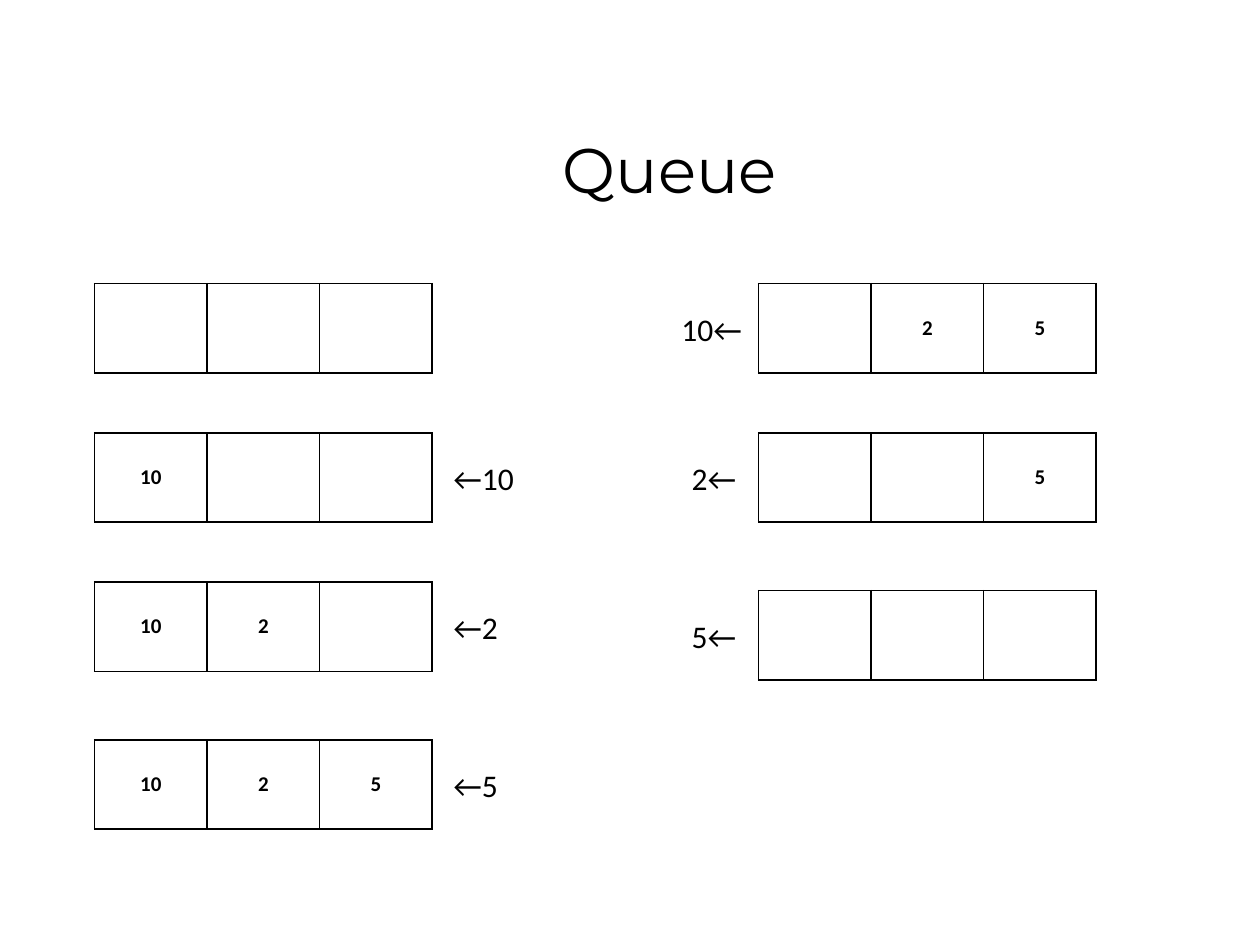
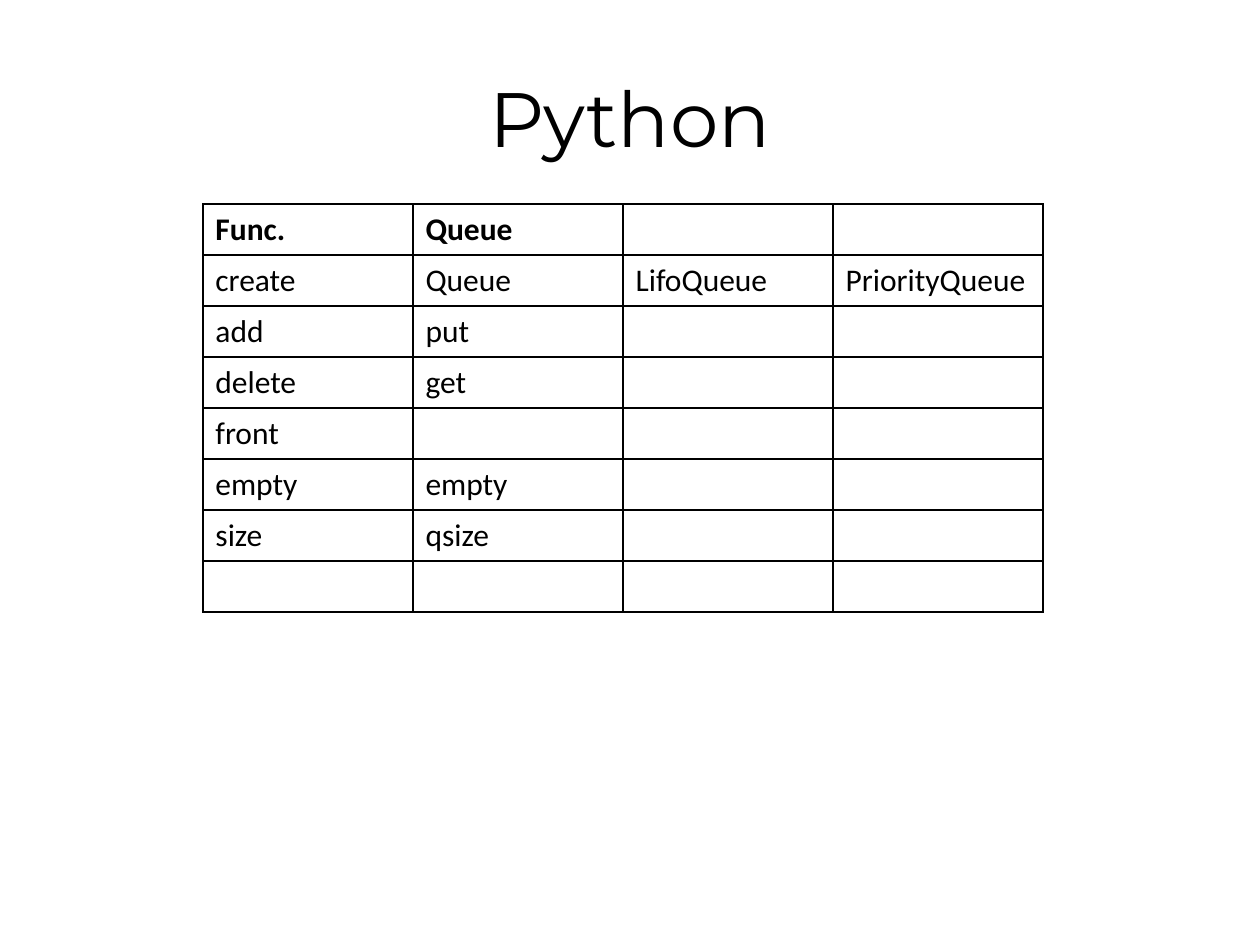
from dataclasses import dataclass
from typing import Optional

from lxml.etree import SubElement
from pptx import Presentation
from pptx.dml.color import RGBColor
from pptx.enum.text import MSO_ANCHOR as Anchor, MSO_AUTO_SIZE as AutoSize, PP_ALIGN as Align
from pptx.oxml.ns import qn
from pptx.util import Inches, Length, Pt

BLACK, WHITE = "000000", "FFFFFF"
BODY_FONT, TITLE_FONT = "Calibri", "Montserrat"
BORDER_WIDTH = Pt(1)

prs = Presentation()
prs.slide_width, prs.slide_height = Inches(10), Inches(7.5)
blank_layout = prs.slide_layouts[6]


@dataclass(frozen=True)
class Box:
    """A rectangle in percent of the slide's width and height."""
    left: float
    top: float
    width: float
    height: float

    def lengths(self) -> tuple[Length, ...]:
        """Return left, top, width and height as lengths."""
        sides = (prs.slide_width, prs.slide_height) * 2
        shares = (self.left, self.top, self.width, self.height)
        return tuple(Length(round(side * share / 100)) for side, share in zip(sides, shares))


@dataclass(frozen=True)
class QueueState:
    """The queue after one step, with the label of that step."""
    left: float
    top: float
    items: tuple[str, str, str]
    label: str = ""
    label_left: float = 0


def rgb(value: str) -> RGBColor:
    """Turn a hex string into a colour."""
    return RGBColor.from_string(value)


def style(paragraph, size: float, font: str = BODY_FONT, bold: bool = False,
          align: Align = Align.LEFT) -> None:
    """Set the font and alignment of a paragraph."""
    paragraph.alignment = align
    paragraph.font.name = font
    paragraph.font.size = Pt(size)
    paragraph.font.bold = bold
    paragraph.font.color.rgb = rgb(BLACK)


def add_title(slide, text: str, box: Box, size: float, anchor: Anchor) -> None:
    """Add a centred title."""
    frame = slide.shapes.add_textbox(*box.lengths()).text_frame
    frame.word_wrap = True
    frame.vertical_anchor = anchor
    frame.text = text
    style(frame.paragraphs[0], size, TITLE_FONT, align=Align.CENTER)


def add_label(slide, text: str, left: float, top: float) -> None:
    """Add a one-line label that fits its text."""
    box = Box(left, top, 7.1 if len(text) > 2 else 5.8, 5.33)
    frame = slide.shapes.add_textbox(*box.lengths()).text_frame
    frame.word_wrap = False
    frame.auto_size = AutoSize.SHAPE_TO_FIT_TEXT
    frame.text = text
    style(frame.paragraphs[0], 18)


def add_borders(cell) -> None:
    """Draw a thin black line on the four sides of a cell."""
    properties = cell._tc.get_or_add_tcPr()
    for side in ("a:lnL", "a:lnR", "a:lnT", "a:lnB"):
        line = SubElement(properties, qn(side), w=str(BORDER_WIDTH))
        fill = SubElement(line, qn("a:solidFill"))
        SubElement(fill, qn("a:srgbClr"), val=BLACK)


def add_grid(slide, rows: list[tuple[str, ...]], box: Box, size: float,
             fill: Optional[str] = None, align: Align = Align.LEFT,
             anchor: Anchor = Anchor.TOP) -> None:
    """Add a bordered table of equal cells whose first row is bold."""
    table = slide.shapes.add_table(len(rows), len(rows[0]), *box.lengths()).table
    table.first_row = table.horz_banding = False
    for r, row in enumerate(rows):
        for c, text in enumerate(row):
            cell = table.cell(r, c)
            cell.text = text
            cell.vertical_anchor = anchor
            style(cell.text_frame.paragraphs[0], size, bold=r == 0, align=align)
            add_borders(cell)
            if fill:
                cell.fill.solid()
                cell.fill.fore_color.rgb = rgb(fill)
            else:
                cell.fill.background()


def add_queue(slide, state: QueueState) -> None:
    """Draw the three places of a queue and its label."""
    add_grid(slide, [state.items], Box(state.left, state.top, 26.8, 9.45), 12,
             align=Align.CENTER, anchor=Anchor.MIDDLE)
    if state.label:
        add_label(slide, state.label, state.label_left, state.top + 2.1)


# Slide 1: items enter on the left side and leave on the right side
ENTER_LEFT, LEAVE_LEFT, ENTER_LABEL = 7.5, 60.2, 35
STEP_TOPS = (30, 45.8, 61.6, 78.3)
LAST_LEAVE_TOP = 62.5
queue_states = (
    QueueState(ENTER_LEFT, STEP_TOPS[0], ("", "", "")),
    QueueState(ENTER_LEFT, STEP_TOPS[1], ("10", "", ""), "←10", ENTER_LABEL),
    QueueState(ENTER_LEFT, STEP_TOPS[2], ("10", "2", ""), "←2", ENTER_LABEL),
    QueueState(ENTER_LEFT, STEP_TOPS[3], ("10", "2", "5"), "←5", ENTER_LABEL),
    QueueState(LEAVE_LEFT, STEP_TOPS[0], ("", "2", "5"), "10←", 53.1),
    QueueState(LEAVE_LEFT, STEP_TOPS[1], ("", "", "5"), "2←", 53.9),
    QueueState(LEAVE_LEFT, LAST_LEAVE_TOP, ("", "", ""), "5←", 53.9),
)
queue_slide = prs.slides.add_slide(blank_layout)
add_title(queue_slide, "Queue", Box(18.5, 13.2, 69.3, 70.4), 36, Anchor.TOP)
for queue_state in queue_states:
    add_queue(queue_slide, queue_state)

# Slide 2: the functions of the Python queues
functions = [
    ("Func.", "Queue", "", ""),
    ("create", "Queue", "LifoQueue", "PriorityQueue"),
    ("add", "put", "", ""),
    ("delete", "get", "", ""),
    ("front", "", "", ""),
    ("empty", "empty", "", ""),
    ("size", "qsize", "", ""),
    ("", "", "", ""),
]
python_slide = prs.slides.add_slide(blank_layout)
add_title(python_slide, "Python", Box(5, 4, 90, 16.67), 44, Anchor.MIDDLE)
add_grid(python_slide, functions, Box(16.1, 21.6, 66.7, 43.2), 18, fill=WHITE)

prs.save("out.pptx")
